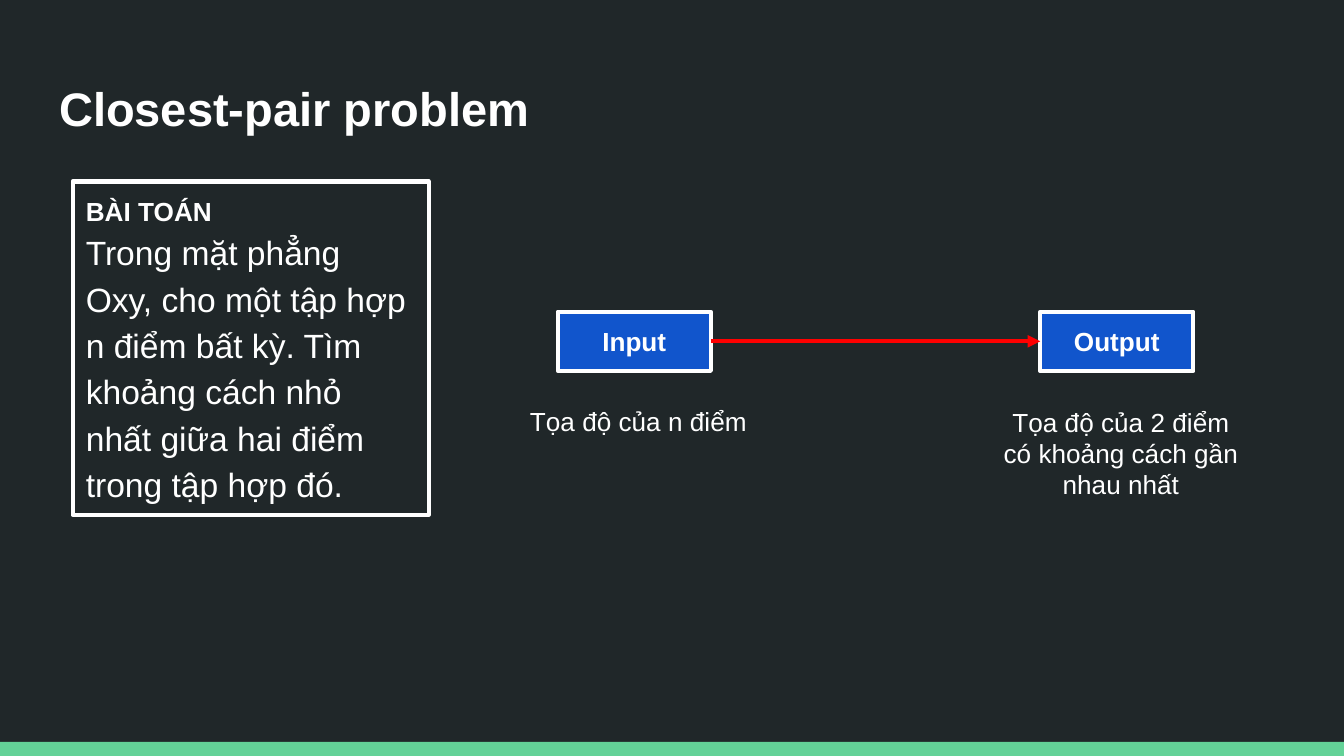
import pptx
import pptx.util
import pptx.dml.color
import pptx.enum.shapes
import pptx.enum.text
import pptx.oxml
from pptx.util import Inches, Pt

# Content
TITLE = "Closest-pair problem"
PROBLEM = [
    ("BÀI TOÁN", {"size": Pt(14), "bold": True}, {}),
    ("Trong mặt phẳng Oxy, cho một tập hợp n điểm bất kỳ. "
     "Tìm khoảng cách nhỏ nhất giữa hai điểm trong tập hợp đó.",
     {"size": Pt(18)}, {"line_spacing": 1.15, "space_after": Pt(12)}),
]
STEPS = [  # label, caption, box left, caption height
    ("Input", "Tọa độ của n điểm", 4.15, 0.44),
    ("Output", "Tọa độ của 2 điểm có khoảng cách gần nhau nhất", 7.74, 0.91),
]
BG, WHITE, GREEN, BLUE, RED = "202729", "FFFFFF", "63D297", "1155CC", "FF0000"
BOX_W, BOX_H, BOX_TOP = 1.14, 0.44, 2.32
CAPTION_W, CAPTION_TOP, CAPTION_SHIFT = 2.02, 2.92, 0.03
CENTER = pptx.enum.text.PP_ALIGN.CENTER
LEFT = pptx.enum.text.PP_ALIGN.LEFT
TOP = pptx.enum.text.MSO_ANCHOR.TOP
MIDDLE = pptx.enum.text.MSO_ANCHOR.MIDDLE


def rgb(value):
    return pptx.dml.color.RGBColor.from_string(value)


def set_attrs(obj, values):
    for name, value in values.items():
        setattr(obj, name, value)


def write(sp, paragraphs, align, anchor):
    tf = sp.text_frame
    margins = {f"margin_{side}": Inches(0.1)
               for side in ("left", "right", "top", "bottom")}
    set_attrs(tf, {"word_wrap": True, "vertical_anchor": anchor,
                   "auto_size": pptx.enum.text.MSO_AUTO_SIZE.NONE, **margins})
    for i, (text, font, spacing) in enumerate(paragraphs):
        p = tf.paragraphs[0] if i == 0 else tf.add_paragraph()
        set_attrs(p, {"alignment": align, **spacing})
        r = p.add_run()
        r.text = text
        set_attrs(r.font, {"name": "Arial", "bold": False, **font})
        r.font.color.rgb = rgb(WHITE)


def add_box(s, x, y, w, h, fill, line=None):
    sp = s.shapes.add_shape(pptx.enum.shapes.MSO_SHAPE.RECTANGLE,
                            Inches(x), Inches(y), Inches(w), Inches(h))
    sp.shadow.inherit = False
    sp.fill.solid()
    sp.fill.fore_color.rgb = rgb(fill)
    if line:
        sp.line.color.rgb = rgb(line)
        sp.line.width = Pt(2.25)
    else:
        sp.line.fill.background()
    return sp


def add_arrow(s, x1, x2, y):
    c = s.shapes.add_connector(pptx.enum.shapes.MSO_CONNECTOR.STRAIGHT,
                               Inches(x1), Inches(y), Inches(x2), Inches(y))
    c.line.color.rgb = rgb(RED)
    c.line.width = Pt(2.25)
    ns = pptx.oxml.ns.nsdecls("a")
    c.line._get_or_add_ln().append(
        pptx.oxml.parse_xml(f'<a:tailEnd {ns} type="triangle"/>'))
    c._element.spPr.append(pptx.oxml.parse_xml(f"<a:effectLst {ns}/>"))


def main():
    # 16:9 slide
    prs = pptx.Presentation()
    prs.slide_width = Inches(10)
    prs.slide_height = prs.slide_width * 9 // 16
    s = prs.slides.add_slide(prs.slide_layouts[5])
    s.background.fill.solid()
    s.background.fill.fore_color.rgb = rgb(BG)

    # Bottom band and title
    add_box(s, 0, 5.52, 10, 0.11, GREEN)
    title = s.shapes.title
    set_attrs(title, {"left": Inches(0.34), "top": Inches(0.49),
                      "width": Inches(9.32), "height": Inches(0.63)})
    write(title, [(TITLE, {"size": Pt(25.2), "bold": True}, {})], LEFT, TOP)

    # Problem statement
    write(add_box(s, 0.54, 1.35, 2.65, 2.48, BG, WHITE), PROBLEM, LEFT, TOP)

    # Input and output, each with a caption centred below
    for label, caption, x, caption_h in STEPS:
        box = add_box(s, x, BOX_TOP, BOX_W, BOX_H, BLUE, WHITE)
        write(box, [(label, {"size": Pt(14), "bold": True}, {})], CENTER, MIDDLE)
        note = s.shapes.add_textbox(
            Inches(x + (BOX_W - CAPTION_W) / 2 + CAPTION_SHIFT),
            Inches(CAPTION_TOP), Inches(CAPTION_W), Inches(caption_h))
        write(note, [(caption, {"size": Pt(14)}, {})], CENTER, TOP)

    # Arrow from input to output
    add_arrow(s, STEPS[0][2] + BOX_W, STEPS[1][2], BOX_TOP + BOX_H / 2)
    prs.save("out.pptx")


if __name__ == "__main__":
    main()
